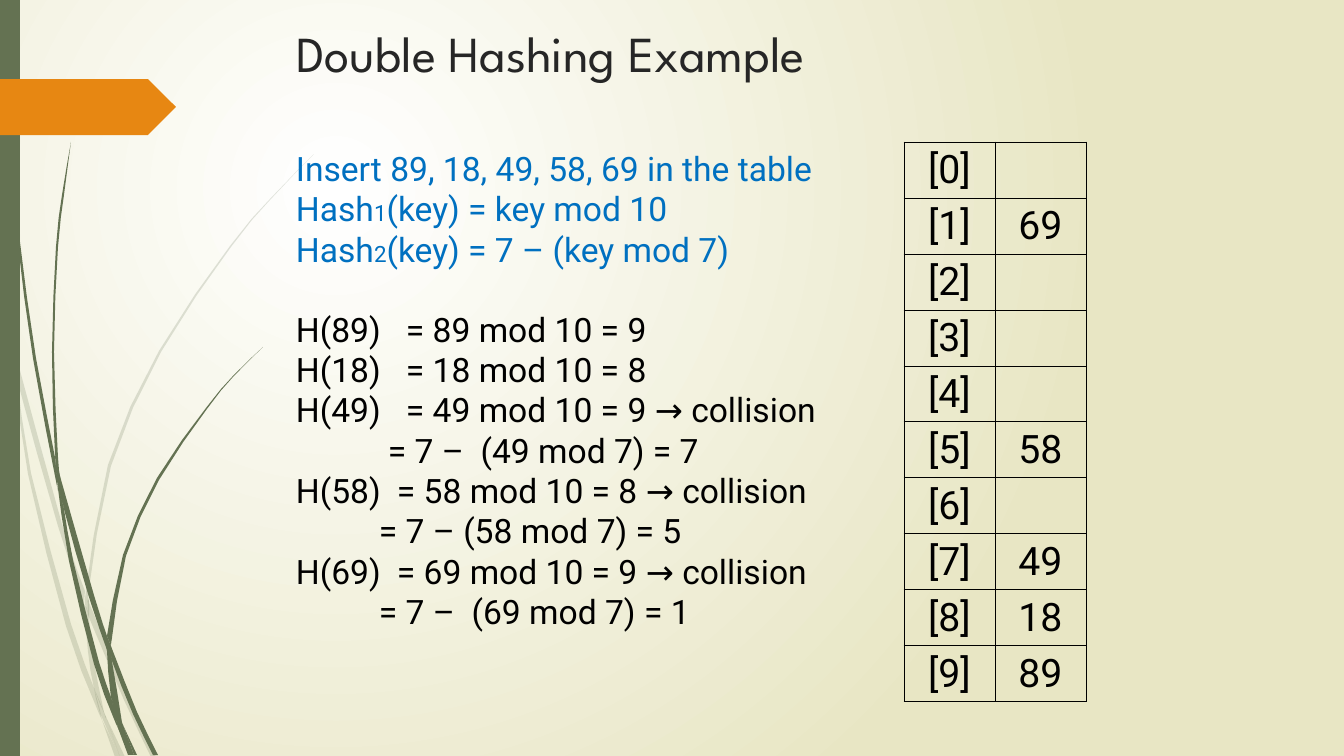
from lxml.etree import SubElement
from pptx import Presentation
from pptx.dml.color import RGBColor
from pptx.enum.shapes import MSO_SHAPE as Preset
from pptx.enum.text import MSO_ANCHOR as Anchor, PP_ALIGN as Align
from pptx.oxml import parse_xml
from pptx.oxml.ns import nsdecls, qn
from pptx.util import Emu, Pt

PX = 9072
WIDTH, HEIGHT = 1344, 756
WHITE = RGBColor(0xFF, 0xFF, 0xFF)
SAND = RGBColor(0xE8, 0xE6, 0xC4)
MOSS = RGBColor(0x64, 0x72, 0x52)
ORANGE = RGBColor(0xE7, 0x87, 0x12)
INK = RGBColor(0x26, 0x26, 0x26)
BLUE = RGBColor(0x00, 0x70, 0xC0)
BLACK = RGBColor(0x00, 0x00, 0x00)

PALE_BLADES = [
    ([(0, 284), (9, 325), (11, 353)], [(0, 301), (10, 347), (11, 353)]),
    ([(14, 348), (17, 379), (58, 526), (84, 604)],
     [(14, 348), (62, 524), (85, 591)]),
    ([(88, 615), (124, 700), (151, 757)],
     [(88, 601), (93, 612), (128, 698), (156, 757)]),
    ([(106, 717), (120, 757)], [(106, 717), (125, 757)]),
    ([(11, 353), (28, 474), (66, 626), (93, 699), (102, 720)],
     [(11, 353), (17, 379), (31, 473), (71, 624), (94, 688), (102, 720)]),
    ([(84, 604), (88, 651), (94, 688), (106, 717)],
     [(84, 604), (89, 615), (92, 651), (104, 712), (106, 717)]),
    ([(314, 154), (270, 199), (230, 246), (159, 351), (108, 465), (86, 591)],
     [(314, 154), (270, 200), (231, 247), (161, 352), (111, 466), (89, 589), (89, 601)]),
    ([(102, 720), (115, 757)], [(102, 720), (120, 757)]),
    ([(86, 591), (85, 604), (89, 615)], [(86, 591), (89, 601)]),
    ([(94, 688), (100, 713), (120, 757)], [(94, 688), (106, 717), (120, 757)]),
]
DARK_BLADES = [
    ([(3, 0), (7, 111), (17, 235), (33, 358), (56, 481), (57, 485)],
     [(4, 0), (8, 110), (19, 234), (36, 358), (55, 457), (57, 485)]),
    ([(60, 476), (64, 509), (89, 597), (107, 650)],
     [(60, 476), (94, 595), (107, 636)]),
    ([(111, 646), (112, 661), (133, 714), (153, 755)],
     [(111, 646), (114, 654), (137, 712), (158, 755)]),
    ([(57, 481), (69, 561), (94, 664), (112, 714), (118, 728)],
     [(57, 481), (64, 509), (73, 560), (99, 662), (111, 697), (118, 728)]),
    ([(71, 142), (62, 195), (56, 247), (52, 352), (55, 453), (60, 476)],
     [(71, 142), (64, 195), (58, 247), (54, 352), (58, 457), (60, 476)]),
    ([(123, 725), (134, 755)], [(123, 725), (137, 755)]),
    ([(55, 453), (57, 481), (64, 509)], [(55, 453), (60, 476), (64, 509)]),
    ([(263, 347), (233, 376), (206, 408), (157, 478), (123, 555), (107, 636)],
     [(263, 347), (233, 377), (207, 409), (159, 480), (126, 556), (112, 638), (111, 646)]),
    ([(118, 728), (128, 755)], [(118, 728), (132, 755)]),
    ([(107, 650), (111, 697), (123, 725)],
     [(107, 650), (112, 661), (122, 722), (123, 725)]),
    ([(107, 636), (107, 650), (112, 661)], [(107, 636), (111, 646)]),
    ([(111, 697), (118, 728), (131, 755)], [(111, 697), (123, 725), (134, 755)]),
]

FORMULAS = [
    [("Insert 89, 18, 49, 58, 69 in the table", 24)],
    [("Hash", 24), ("1", 16), ("(key) = key mod 10", 24)],
    [("Hash", 24), ("2", 16), ("(key) = 7 – (key mod 7)", 24)],
]
STEPS = [
    ("H(89)\t= 89 mod 10 = 9", 110),
    ("H(18)\t= 18 mod 10 = 8", 110),
    ("H(49)\t= 49 mod 10 = 9 → collision", 110),
    ("= 7 –  (49 mod 7) = 7", 92),
    ("H(58)\t= 58 mod 10 = 8 → collision", 101),
    ("= 7 – (58 mod 7) = 5", 83),
    ("H(69)\t= 69 mod 10 = 9 → collision", 101),
    ("= 7 –  (69 mod 7) = 1", 83),
]
BUCKETS = ["", "69", "", "", "", "58", "", "49", "18", "89"]


def px(*lengths):
    return [Emu(round(length * PX)) for length in lengths]


def add_run(paragraph, text, **font_values):
    run = paragraph.add_run()
    run.text = text
    color = font_values.pop("color")
    for key, value in font_values.items():
        setattr(run.font, key, value)
    run.font.color.rgb = color


def paint(shape, color):
    shape.shadow.inherit = False
    shape.fill.solid()
    shape.fill.fore_color.rgb = color
    shape.line.fill.background()


def smooth_edge(points, steps=2):
    padded = [points[0], *points, points[-1]]
    edge = [points[0]]
    for a, b, c, d in zip(padded, padded[1:], padded[2:], padded[3:]):
        for step in range(1, steps + 1):
            t = step / steps
            edge.append(tuple(
                (2 * q + (r - p) * t + (2 * p - 5 * q + 4 * r - s) * t ** 2
                 + (3 * q - p - 3 * r + s) * t ** 3) / 2
                for p, q, r, s in zip(a, b, c, d)))
    return edge


def draw_blades(slide, blades, left, top, opacity=100):
    for left_edge, right_edge in blades:
        outline = dict.fromkeys(smooth_edge(left_edge) + smooth_edge(right_edge)[::-1])
        corners = [px(left + x, top + y) for x, y in outline]
        builder = slide.shapes.build_freeform(*corners[0])
        builder.add_line_segments(corners[1:], close=True)
        blade = builder.convert_to_shape()
        paint(blade, MOSS)
        if opacity < 100:
            tint = blade.element.spPr.find(qn("a:solidFill"))[0]
            SubElement(tint, qn("a:alpha"), val=str(opacity * 1000))


def draw_background(slide):
    fill = slide.background.fill
    fill.gradient()
    for stop, color in zip(fill.gradient_stops, (WHITE, SAND)):
        stop.color.rgb = color
    gradient = slide.background._cSld.find(".//" + qn("a:gradFill"))
    gradient.replace(gradient.find(qn("a:lin")), parse_xml(
        f'<a:path {nsdecls("a")} path="circle">'
        '<a:fillToRect l="50000" t="50000" r="100000" b="100000"/></a:path>'))


def draw_margin(slide, left, top, height):
    draw_blades(slide, PALE_BLADES, left, top, 20)
    draw_blades(slide, DARK_BLADES, left, top)
    stripe = slide.shapes.add_shape(Preset.RECTANGLE, *px(left, top, 20, height))
    paint(stripe, MOSS)
    pointer = slide.shapes.add_shape(Preset.PENTAGON, *px(left, top + 79, 176, 56))
    paint(pointer, ORANGE)


def write_title(slide, left, top, width, height):
    title = slide.shapes.title
    title.left, title.top, title.width, title.height = px(left, top, width, height)
    title.text_frame.vertical_anchor = Anchor.TOP
    heading = title.text_frame.paragraphs[0]
    heading.alignment = Align.LEFT
    add_run(heading, "Double Hashing Example",
            name="League Spartan", size=Pt(36), color=INK)


def write_working(slide, left, top, width, height):
    working = slide.shapes.add_textbox(*px(left, top, width, height)).text_frame
    working.word_wrap = True
    lines = [working.paragraphs[0]]
    lines += [working.add_paragraph() for _ in (FORMULAS + STEPS)[1:]]
    for line, pieces in zip(lines, FORMULAS):
        for text, size in pieces:
            add_run(line, text, name="Roboto", size=Pt(size), color=BLUE)
    step_lines = lines[len(FORMULAS):]
    step_lines[0].space_before = Pt(28.4)
    for line, (text, equals_at) in zip(step_lines, STEPS):
        add_run(line, text, name="Roboto", size=Pt(24), color=BLACK)
        offset = str(equals_at * PX)
        properties = line._p.get_or_add_pPr()
        if "\t" in text:
            stops = SubElement(properties, qn("a:tabLst"))
            SubElement(stops, qn("a:tab"), pos=offset, algn="l")
        else:
            properties.set("marL", offset)
            properties.set("indent", "0")


def fill_cell(cell, text):
    cell.fill.background()
    cell.margin_top, cell.margin_bottom = px(4, 4)
    cell.vertical_anchor = Anchor.MIDDLE
    properties = cell._tc.get_or_add_tcPr()
    for index, side in enumerate(("lnL", "lnR", "lnT", "lnB")):
        properties.insert(index, parse_xml(
            f'<a:{side} {nsdecls("a")} w="9525"><a:solidFill>'
            f'<a:srgbClr val="{BLACK}"/></a:solidFill></a:{side}>'))
    label = cell.text_frame.paragraphs[0]
    label.alignment = Align.CENTER
    label.font.size = Pt(28)
    if text:
        add_run(label, text, name="Roboto", size=Pt(28), color=BLACK)


def draw_hash_table(slide, left, top, width, height):
    frame = slide.shapes.add_table(len(BUCKETS), 2, *px(left, top, width, height))
    hash_table = frame.table
    hash_table.first_row = hash_table.horz_banding = False
    for index, key in enumerate(BUCKETS):
        fill_cell(hash_table.cell(index, 0), f"[{index}]")
        fill_cell(hash_table.cell(index, 1), key)


def main():
    deck = Presentation()
    deck.slide_width, deck.slide_height = px(WIDTH, HEIGHT)
    slide = deck.slides.add_slide(deck.slide_layouts[5])
    draw_background(slide)
    draw_margin(slide, 0, 0, HEIGHT)
    write_title(slide, 286, 17, 983, 141)
    draw_hash_table(slide, 904, 142, 182, 560)
    write_working(slide, 286, 143, 646, 539)
    deck.save("out.pptx")


if __name__ == "__main__":
    main()
